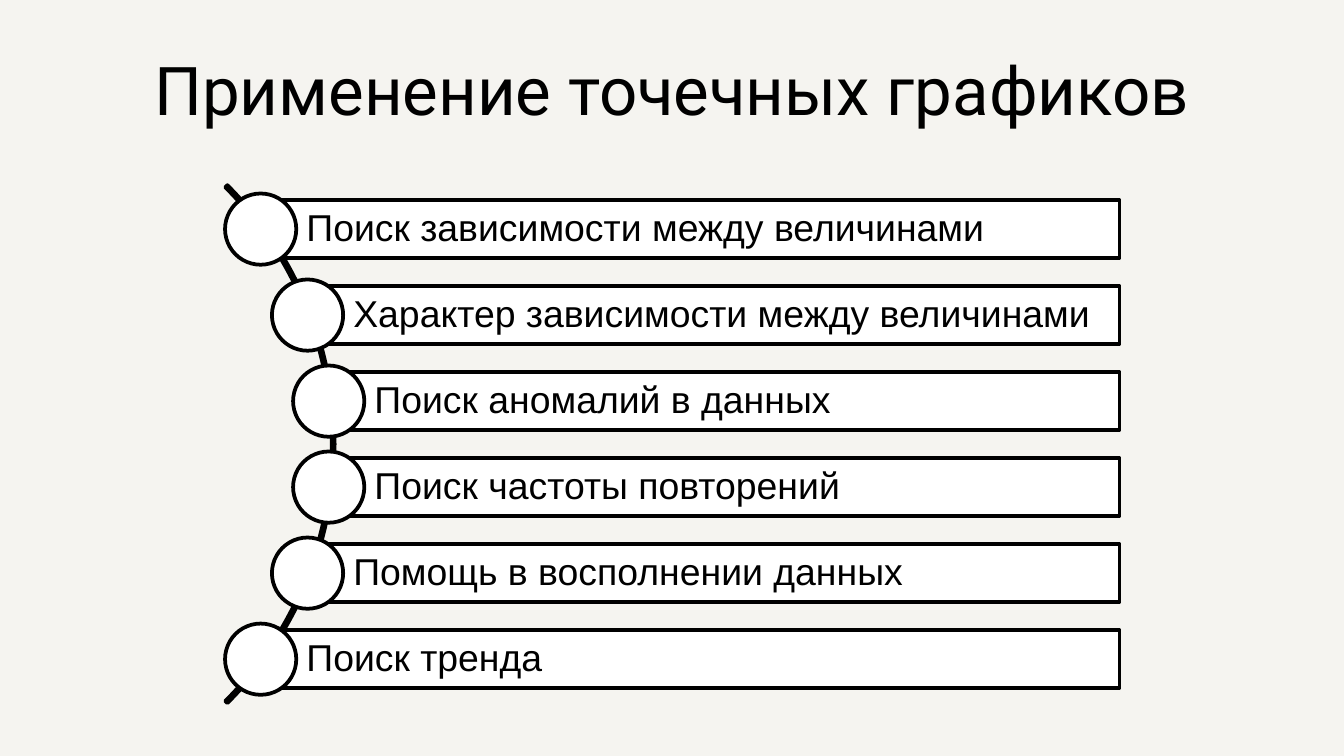
import math

import pptx
import pptx.dml.color
import pptx.enum.shapes
import pptx.enum.text
import pptx.util

SHAPE = pptx.enum.shapes.MSO_SHAPE
ALIGN = pptx.enum.text.PP_ALIGN
ANCHOR = pptx.enum.text.MSO_ANCHOR
COLORS = {"paper": "F5F4F0", "ink": "000000", "fill": "FFFFFF"}
CELL = pptx.util.Inches(0.1)
COLS, ROWS = 100, 56.25

TITLE = "Применение точечных графиков"
USES = [
    "Поиск зависимости между величинами",
    "Характер зависимости между величинами",
    "Поиск аномалий в данных",
    "Поиск частоты повторений",
    "Помощь в восполнении данных",
    "Поиск тренда",
]


def grid(*cells):
    return [round(c * CELL) for c in cells]


def color(name):
    return pptx.dml.color.RGBColor.from_string(COLORS[name])


def set_format(target, values):
    for name, value in values.items():
        setattr(target, name, value)


class Deck:
    title_font = {"name": "Roboto", "size": pptx.util.Pt(36), "bold": False}
    bar_font = {"name": "Arial", "size": pptx.util.Pt(20)}
    title_par = {"alignment": ALIGN.CENTER}
    bar_par = {"alignment": ALIGN.LEFT, "line_spacing": 0.9}
    line_width = pptx.util.Pt(2)

    def __init__(self):
        self.prs = pptx.Presentation()
        self.prs.slide_width, self.prs.slide_height = grid(COLS, ROWS)
        self.s = self.prs.slides.add_slide(self.prs.slide_layouts[5])
        fill = self.s.background.fill
        fill.solid()
        fill.fore_color.rgb = color("paper")

    def label(self, sp, text, insets, anchor, par, font):
        tf = sp.text_frame
        sides = ("margin_left", "margin_top", "margin_right", "margin_bottom")
        set_format(tf, dict(zip(sides, grid(*insets))))
        set_format(tf, {"word_wrap": True, "vertical_anchor": anchor,
                        "auto_size": pptx.enum.text.MSO_AUTO_SIZE.NONE})
        p = tf.paragraphs[0]
        set_format(p, par)
        r = p.add_run()
        r.text = text
        set_format(r.font, font)
        r.font.color.rgb = color("ink")

    def title(self, text, *box):
        sp = self.s.shapes.title
        set_format(sp, dict(zip(("left", "top", "width", "height"), grid(*box))))
        self.label(sp, text, (1, 1, 1, 1), ANCHOR.BOTTOM,
                   self.title_par, self.title_font)

    def shape(self, kind, *box, filled=True):
        sp = self.s.shapes.add_shape(kind, *grid(*box))
        sp.shadow.inherit = False
        if filled:
            sp.fill.solid()
            sp.fill.fore_color.rgb = color("fill")
        else:
            sp.fill.background()
        sp.line.color.rgb = color("ink")
        sp.line.width = self.line_width
        return sp

    def arc(self, cx, cy, radius):
        sp = self.shape(SHAPE.BLOCK_ARC, cx - radius, cy - radius,
                        2 * radius, 2 * radius, filled=False)
        for i, value in enumerate((189, 27, 0.004)):
            sp.adjustments[i] = value

    def bar(self, text, left, right, cy, height):
        sp = self.shape(SHAPE.RECTANGLE, left, cy - height / 2,
                        right - left, height)
        self.label(sp, text, (3.4, 0.6, 0.6, 0.6), ANCHOR.MIDDLE,
                   self.bar_par, self.bar_font)

    def knob(self, cx, cy, size):
        self.shape(SHAPE.OVAL, cx - size / 2, cy - size / 2, size, size)


def main():
    deck = Deck()
    deck.title(TITLE, 3.4, 2.1, 93.2, 8.5)
    cx, cy, pitch, orbit = -2.35, 33.05, 6.4, 27
    deck.arc(cx, cy, 27.25)
    for i, use in enumerate(USES):
        dy = (i - (len(USES) - 1) / 2) * pitch
        x = cx + math.sqrt(orbit ** 2 - dy ** 2)
        deck.bar(use, x, 83.3, cy + dy, 4.3)
        deck.knob(x, cy + dy, 5.3)
    deck.prs.save("out.pptx")


if __name__ == "__main__":
    main()
